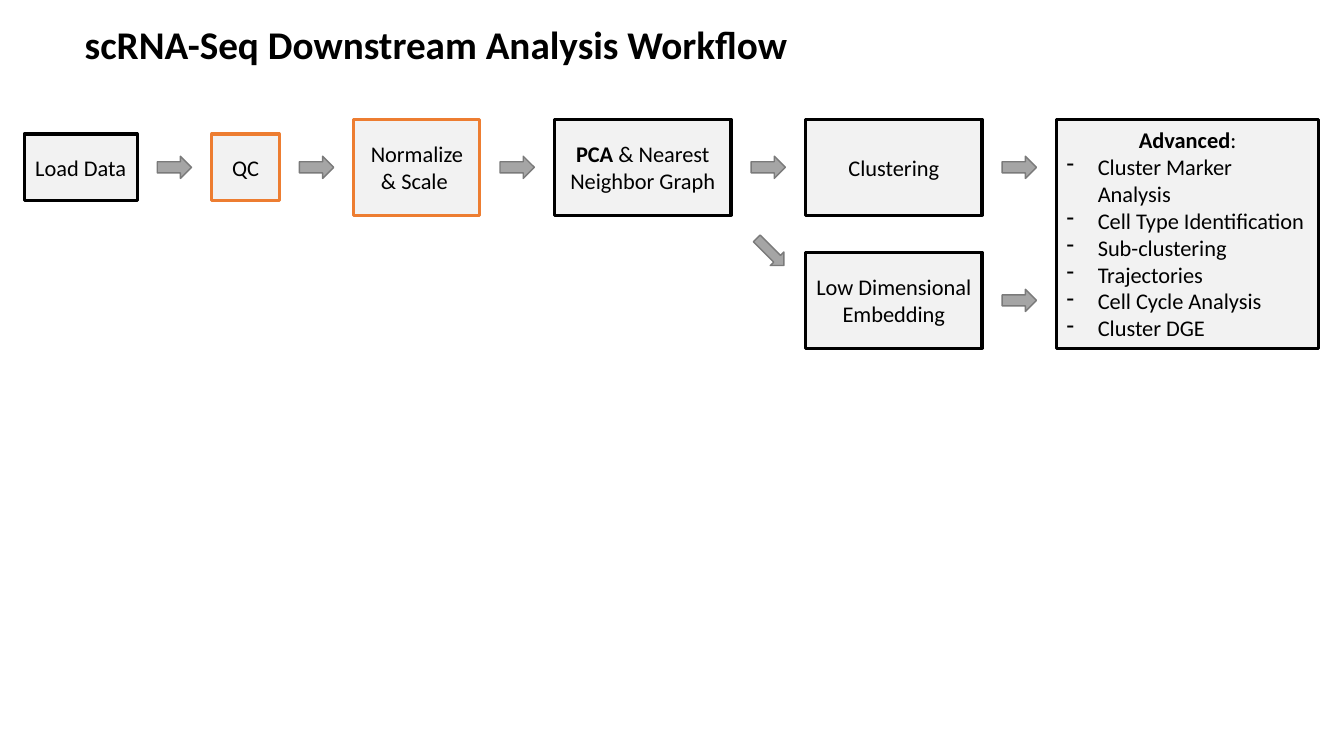
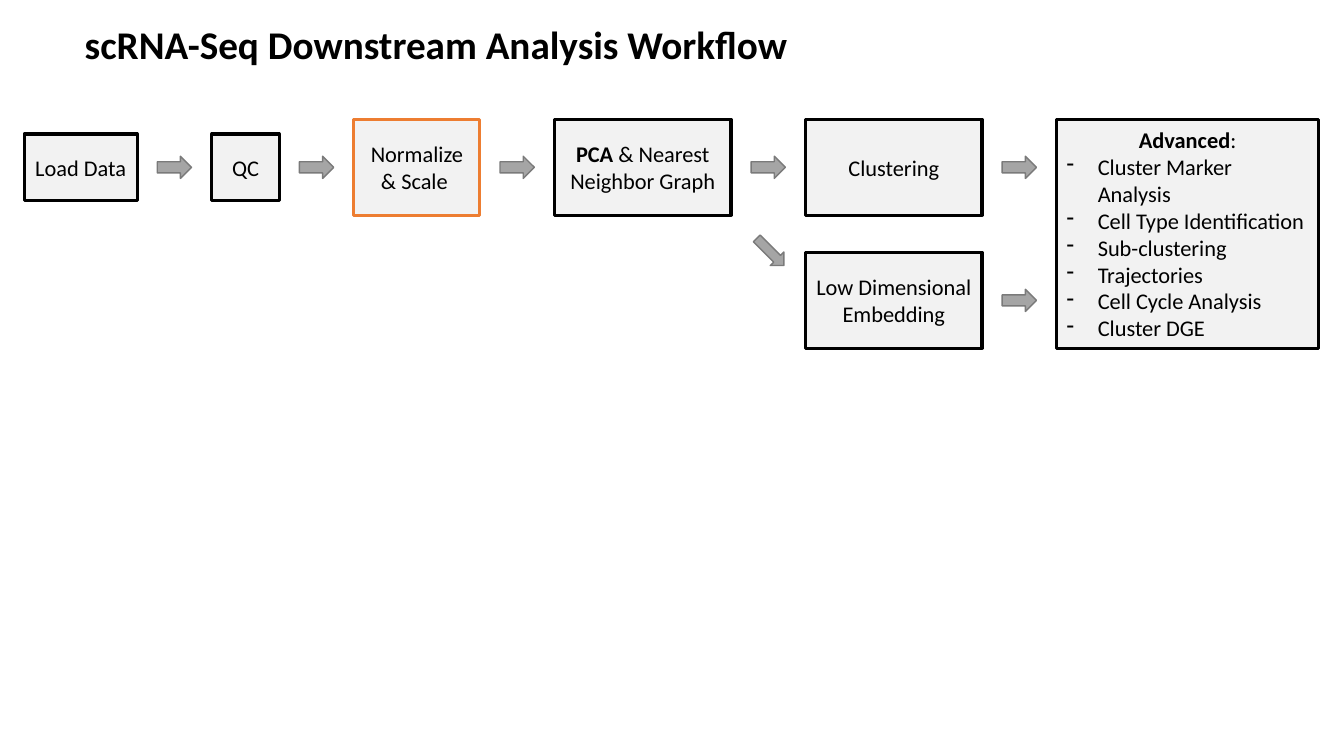
from lxml import etree
from pptx import Presentation
from pptx.dml.color import RGBColor
from pptx.enum import shapes, text
from pptx.oxml import ns
from pptx.util import Inches, Pt

BLACK = RGBColor(0x00, 0x00, 0x00)
ORANGE = RGBColor(0xED, 0x7D, 0x31)
BOX_FILL = RGBColor(0xF2, 0xF2, 0xF2)
ARROW_FILL = RGBColor(0xA5, 0xA5, 0xA5)
ARROW_LINE = RGBColor(0x7A, 0x7A, 0x7A)

TITLE = "scRNA-Seq Downstream Analysis Workflow"
LOAD, QC, NORMALIZE = "Load Data", "QC", "Normalize & Scale "
STEPS = [
    (LOAD, "", 1.12, 0.66),
    (QC, "", 0.67, 0.66),
    (NORMALIZE, "", 1.25, 0.95),
    (" & Nearest Neighbor Graph", "PCA", 1.75, 0.95),
    ("Clustering", "", 1.75, 0.95),
]
ADVANCED = [
    "Cluster Marker Analysis",
    "Cell Type Identification",
    "Sub-clustering",
    "Trajectories",
    "Cell Cycle Analysis",
    "Cluster DGE",
]
HIGHLIGHTS = [{QC, NORMALIZE}, {NORMALIZE}]

LEFT = 0.24
GAP = 0.2
ARROW_W, ARROW_H = 0.34, 0.22
UPPER_MID, LOWER_MID = 1.66, 2.98
INDENT = 0.31


class Deck:
    font = "Calibri"
    title_size = Pt(28)
    body_size = Pt(16)

    def __init__(self):
        self.prs = Presentation()
        self.prs.slide_width = Inches(13.33)
        self.prs.slide_height = Inches(7.5)
        self.slide = None

    def style(self, p, size, bold=None):
        p.font.name = self.font
        p.font.size = size
        p.font.bold = bold
        p.font.color.rgb = BLACK

    def add_slide(self, title):
        self.slide = self.prs.slides.add_slide(self.prs.slide_layouts[5])
        sp = self.slide.shapes.title
        sp.left, sp.top = Inches(0.74), Inches(0.15)
        sp.width, sp.height = Inches(7.26), Inches(0.57)
        tf = sp.text_frame
        tf.text = title
        tf.word_wrap = False
        tf.auto_size = text.MSO_AUTO_SIZE.SHAPE_TO_FIT_TEXT
        tf.vertical_anchor = text.MSO_ANCHOR.TOP
        p = tf.paragraphs[0]
        p.alignment = text.PP_ALIGN.LEFT
        self.style(p, self.title_size, True)

    def shape(self, kind, x, mid, w, h, fill, line, weight):
        sp = self.slide.shapes.add_shape(
            kind, Inches(x), Inches(mid - h / 2), Inches(w), Inches(h))
        sp.shadow.inherit = False
        sp.fill.solid()
        sp.fill.fore_color.rgb = fill
        sp.line.color.rgb = line
        sp.line.width = Pt(weight)
        return sp

    def box(self, x, mid, w, h, label, bold="", line=BLACK):
        sp = self.shape(shapes.MSO_SHAPE.RECTANGLE, x, mid, w, h,
                        BOX_FILL, line, 2.25)
        tf = sp.text_frame
        tf.word_wrap = True
        tf.vertical_anchor = text.MSO_ANCHOR.MIDDLE
        p = tf.paragraphs[0]
        p.alignment = text.PP_ALIGN.CENTER
        self.style(p, self.body_size)
        if bold:
            r = p.add_run()
            r.text = bold
            r.font.bold = True
        p.add_run().text = label
        return tf

    def bullets(self, tf, items):
        for item in items:
            p = tf.add_paragraph()
            p.text = item
            p.alignment = text.PP_ALIGN.LEFT
            self.style(p, self.body_size)
            pPr = p._p.get_or_add_pPr()
            pPr.set("marL", str(Inches(INDENT)))
            pPr.set("indent", str(-Inches(INDENT)))
            bullet = etree.Element(ns.qn("a:buChar"), char="-")
            pPr.insert_element_before(bullet, "a:tabLst", "a:defRPr", "a:extLst")

    def arrow(self, x, mid, w=ARROW_W, h=ARROW_H, angle=0):
        sp = self.shape(shapes.MSO_SHAPE.RIGHT_ARROW, x, mid, w, h,
                        ARROW_FILL, ARROW_LINE, 1)
        sp.rotation = angle

    def workflow(self, highlighted):
        x = LEFT
        for label, bold, w, h in STEPS:
            line = ORANGE if label in highlighted else BLACK
            self.box(x, UPPER_MID, w, h, label, bold, line)
            last_x, arrow_x = x, x + w + GAP
            self.arrow(arrow_x, UPPER_MID)
            x = arrow_x + ARROW_W + GAP
        self.arrow(last_x - GAP - ARROW_W, 2.5, 0.38, 0.19, 45)
        self.box(last_x, LOWER_MID, w, h, "Low Dimensional Embedding")
        self.arrow(arrow_x, LOWER_MID)
        tf = self.box(x, (UPPER_MID + LOWER_MID) / 2, 2.6,
                      LOWER_MID - UPPER_MID + h, ":", "Advanced")
        self.bullets(tf, ADVANCED)


def main():
    deck = Deck()
    for highlighted in HIGHLIGHTS:
        deck.add_slide(TITLE)
        deck.workflow(highlighted)
    deck.prs.save("out.pptx")


if __name__ == "__main__":
    main()
